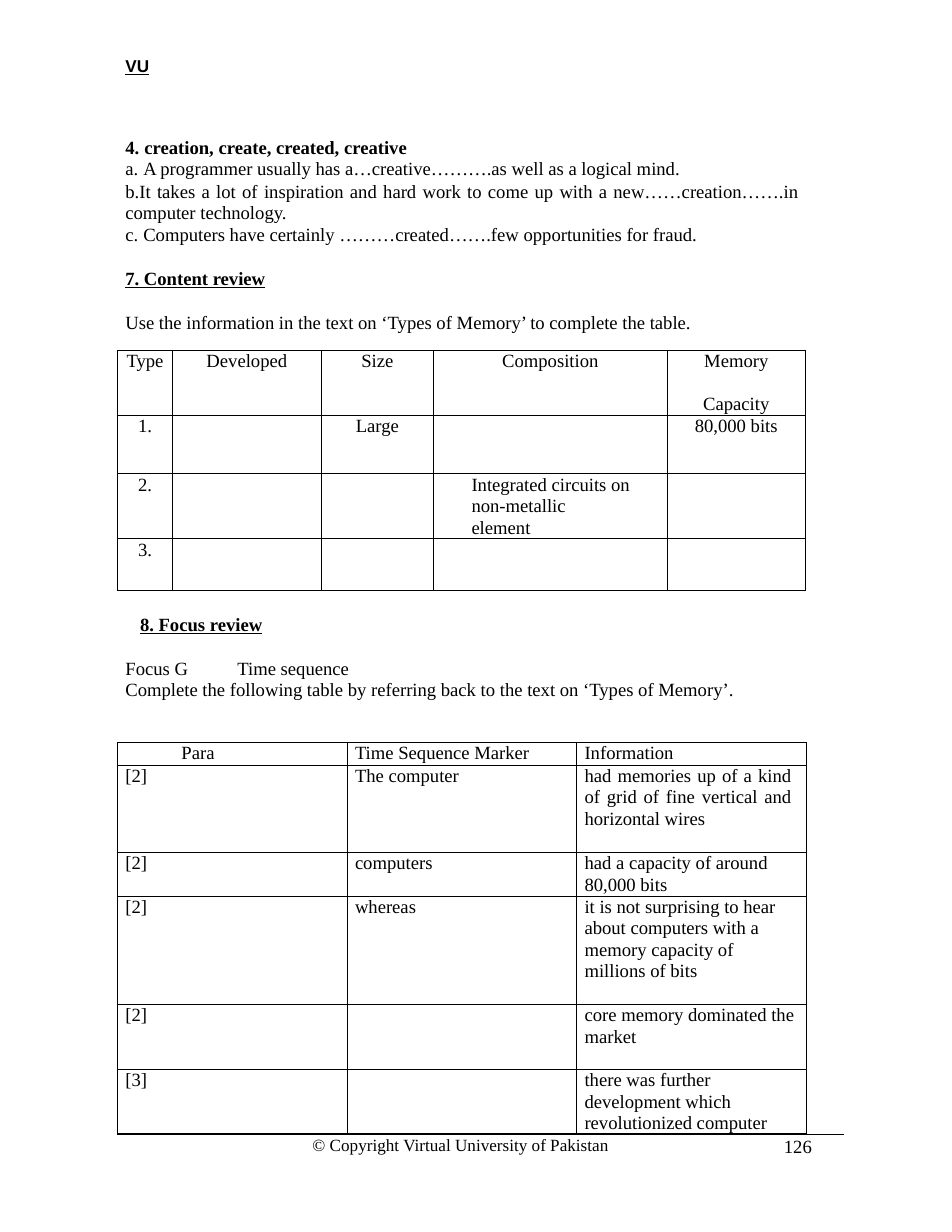
import pptx
import pptx.util
import pptx.dml.color
import pptx.enum.text
from lxml import etree
from pptx.oxml.ns import qn

Inches = pptx.util.Inches
Pt = pptx.util.Pt
ALIGN = pptx.enum.text.PP_ALIGN
BLACK = pptx.dml.color.RGBColor(0x00, 0x00, 0x00)
PLAIN_TABLE = "{2D5ABB26-0587-4C30-8999-92F81FD0307C}"
LINE = 13.8


class Page:
    def __init__(self, slide, font="Times New Roman", size=12):
        self.slide = slide
        self.font = font
        self.size = size

    def paragraph(self, para, text, indent=0.0, hanging=0.0, align=ALIGN.LEFT,
                  before=0, number=None, start=1, level=0, tab=None,
                  bold=False, underline=False, size=None, font=None):
        para.text = text
        para.level = level
        para.alignment = align
        para.line_spacing = Pt(LINE)
        para.space_before = Pt(before)
        properties = para._p.get_or_add_pPr()
        properties.set("marL", str(Inches(indent)))
        properties.set("indent", str(Inches(hanging)))
        if number:
            numbering = etree.SubElement(properties, qn("a:buAutoNum"), type=number)
            if start > 1:
                numbering.set("startAt", str(start))
        if tab:
            tabs = etree.SubElement(properties, qn("a:tabLst"))
            etree.SubElement(tabs, qn("a:tab"), pos=str(Inches(tab)), algn="l")
        for run in para.runs:
            run.font.name = font or self.font
            run.font.size = Pt(size or self.size)
            run.font.bold = bold
            run.font.underline = underline
            run.font.color.rgb = BLACK

    def fill_frame(self, frame, paragraphs):
        frame.word_wrap = True
        for i, (text, style) in enumerate(paragraphs):
            para = frame.add_paragraph() if i else frame.paragraphs[0]
            self.paragraph(para, text, **style)

    def text(self, left, top, width, height, paragraphs):
        frame = self.slide.shapes.add_textbox(
            Inches(left), Inches(top), Inches(width), Inches(height)).text_frame
        frame.margin_left = frame.margin_right = frame.margin_bottom = 0
        frame.margin_top = Inches(0.01)
        self.fill_frame(frame, paragraphs)

    def border(self, cell, **widths):
        properties = cell._tc.get_or_add_tcPr()
        for side in "LRTB":
            if side in widths:
                line = etree.SubElement(properties, qn(f"a:ln{side}"), w=str(Pt(widths[side])))
                fill = etree.SubElement(line, qn("a:solidFill"))
                etree.SubElement(fill, qn("a:srgbClr"), val=str(BLACK))

    def table(self, left, top, columns, heights, rows, last_line=0.5):
        table = self.slide.shapes.add_table(
            len(heights), len(columns), Inches(left), Inches(top),
            Inches(sum(columns)), Inches(sum(heights))).table
        table.first_row = table.horz_banding = False
        table._tbl.tblPr.find(qn("a:tableStyleId")).text = PLAIN_TABLE
        for column, width in zip(table.columns, columns):
            column.width = Inches(width)
        for r, (height, row) in enumerate(zip(heights, rows)):
            table.rows[r].height = Inches(height)
            bottom = last_line if r == len(rows) - 1 else 0.5
            for c, paragraphs in enumerate(row):
                cell = table.cell(r, c)
                cell.margin_left = cell.margin_right = cell.margin_top = cell.margin_bottom = 0
                self.fill_frame(cell.text_frame, paragraphs)
                self.border(cell, L=0.5, R=0.5, T=0.5, B=bottom)
                cell.fill.background()
        return table


def centred(text):
    return [(text, dict(align=ALIGN.CENTER))]


def entry(text, indent=0.07, **style):
    return [(text, dict(indent=indent, **style))]


def main():
    prs = pptx.Presentation()
    prs.slide_width, prs.slide_height = Inches(8.5), Inches(11)
    page = Page(prs.slides.add_slide(prs.slide_layouts[6]))

    page.text(2.78, 10.11, 2.7, 0.2, [
        ("© Copyright Virtual University of Pakistan", dict(indent=0.01, size=11))])
    page.text(6.96, 10.13, 0.33, 0.21, [("126", dict(indent=0.04))])
    page.text(1.11, 0.48, 6.44, 0.21, [
        ("VU", dict(indent=0.01, bold=True, underline=True, size=11, font="Arial"))])

    heading = dict(bold=True, underline=True)
    gap = dict(indent=0.01, before=14.5)
    answer = dict(indent=0.17, hanging=-0.16, number="alphaLcPeriod", level=1, tab=0.17)
    long_answer = dict(answer, indent=0.01, hanging=0, tab=0.2, align=ALIGN.JUSTIFY, before=0.7)
    page.text(1.11, 1.21, 6.03, 1.76, [
        ("creation, create, created, creative",
         dict(indent=0.18, hanging=-0.17, number="arabicPeriod", start=4, tab=0.18, bold=True)),
        ("A programmer usually has a…creative……….as well as a logical mind.", answer),
        ("It takes a lot of inspiration and hard work to come up with a "
         "new……creation…….in computer technology.", long_answer),
        ("Computers have certainly ………created…….few opportunities for fraud.", answer),
        ("7. Content review", dict(gap, **heading)),
        ("Use the information in the text on ‘Types of Memory’ to complete the table.", gap)])

    blank = centred("")
    capacity = centred("Memory") + [("Capacity", dict(align=ALIGN.CENTER, before=LINE))]
    circuits = entry("Integrated circuits on\vnon-metallic\velement", 0.34)
    page.table(1.05, 3.13, [0.49, 1.33, 1, 2.09, 1.23], [0.58, 0.52, 0.58, 0.46], [
        [centred(name) for name in ("Type", "Developed", "Size", "Composition")] + [capacity],
        [centred("1."), blank, centred("Large"), blank, centred("80,000 bits")],
        [centred("2."), blank, blank, circuits, blank],
        [centred("3."), blank, blank, blank, blank]])

    page.text(1.11, 5.47, 5.48, 0.8, [
        ("8. Focus review", dict(indent=0.14, **heading)),
        ("Focus G\tTime sequence", dict(gap, tab=1.01)),
        ("Complete the following table by referring back to the text on ‘Types of Memory’.",
         dict(indent=0.01))])

    sequence = [
        ("[2]", "The computer",
         "had memories up of a kind of grid of fine vertical and horizontal wires"),
        ("[2]", "computers", "had a capacity of around\v80,000 bits"),
        ("[2]", "whereas", "it is not surprising to hear\vabout computers with a\v"
                           "memory capacity of\vmillions of bits"),
        ("[2]", "", "core memory dominated the\vmarket"),
        ("[3]", "", "there was further\vdevelopment which\vrevolutionized computer")]
    rows = [[entry("Para", 0.57), entry("Time Sequence Marker"), entry("Information")]]
    rows += [[entry(text) for text in row] for row in sequence]
    rows[1][2] = entry(sequence[0][2], align=ALIGN.JUSTIFY)
    time_table = page.table(1.05, 6.63, [2.05, 2.05, 2.05, 0.34],
                            [0.2, 0.78, 0.39, 0.97, 0.58, 0.58], rows, last_line=1.5)
    time_table.cell(1, 2).margin_right = Inches(0.13)
    margin_cells = [time_table.cell(r, 3) for r in range(len(rows))]
    for cell in margin_cells:
        cell.margin_left = cell.margin_right = cell.margin_top = cell.margin_bottom = 0
        page.fill_frame(cell.text_frame, blank)
    margin_cells[0].merge(margin_cells[-1])
    page.border(margin_cells[0], L=0.5, B=0.75)
    page.border(margin_cells[-1], B=0.75)
    margin_cells[0].fill.background()

    prs.save("out.pptx")


if __name__ == "__main__":
    main()
